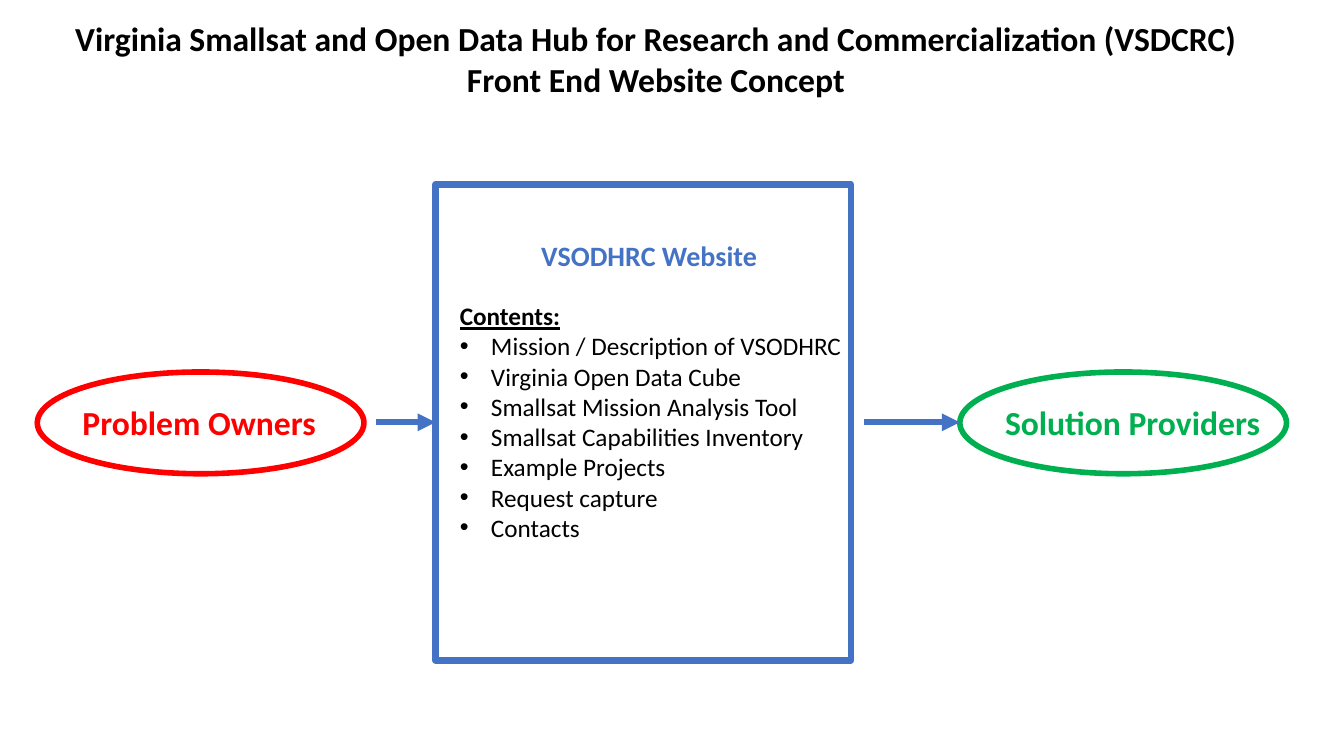
from lxml.etree import SubElement
from pptx import Presentation
from pptx.dml.color import RGBColor
from pptx.enum.shapes import MSO_CONNECTOR, MSO_SHAPE
from pptx.enum.text import MSO_ANCHOR, MSO_AUTO_SIZE, PP_ALIGN
from pptx.oxml.ns import qn
from pptx.util import Emu, Pt

EMU_PER_PX = 9144
BLACK, BLUE, RED, GREEN = "000000", "4472C4", "FF0000", "00B050"


def px(n):
    return Emu(n * EMU_PER_PX)


def rgb(color):
    return RGBColor.from_string(color)


class SlideBuilder:
    font = "Calibri"

    def __init__(self, prs):
        self.s = prs.slides.add_slide(prs.slide_layouts[1])

    def place(self, sp, box):
        sp.left, sp.top, sp.width, sp.height = map(px, box)

    def frame(self, sp):
        tf = sp.text_frame
        tf.word_wrap = False
        tf.auto_size = MSO_AUTO_SIZE.NONE
        tf.vertical_anchor = MSO_ANCHOR.TOP
        return tf

    def paragraph(self, tf, index, text, size, color, bold=False, underline=False, align=PP_ALIGN.LEFT):
        p = tf.add_paragraph() if index else tf.paragraphs[0]
        p.alignment = align
        p.space_before = Pt(0)
        r = p.add_run()
        r.text = text
        r.font.name = self.font
        r.font.size = Pt(size)
        r.font.bold = bold
        r.font.underline = underline
        r.font.color.rgb = rgb(color)
        return p

    def title(self, box, lines):
        sp = self.s.shapes.title
        self.place(sp, box)
        tf = self.frame(sp)
        for i, line in enumerate(lines):
            self.paragraph(tf, i, line, 24, BLACK, bold=True, align=PP_ALIGN.CENTER)

    def contents(self, box, heading, items):
        sp = self.s.placeholders[1]
        self.place(sp, box)
        tf = self.frame(sp)
        p = self.paragraph(tf, 0, heading, 18, BLACK, bold=True, underline=True)
        self.bullet(p, None, 0)
        for i, item in enumerate(items, 1):
            self.bullet(self.paragraph(tf, i, item, 18, BLACK), "•", 31)

    def bullet(self, p, char, indent):
        pPr = p._p.get_or_add_pPr()
        pPr.set("marL", str(px(indent)))
        pPr.set("indent", str(px(-indent)))
        if char:
            SubElement(pPr, qn("a:buFont")).set("typeface", "Arial")
            SubElement(pPr, qn("a:buChar")).set("char", char)
        else:
            SubElement(pPr, qn("a:buNone"))

    def label(self, box, text, size, color):
        sp = self.s.shapes.add_textbox(*map(px, box))
        self.paragraph(self.frame(sp), 0, text, size, color, bold=True)

    def outline(self, kind, box, color, width):
        sp = self.s.shapes.add_shape(kind, *map(px, box))
        sp.shadow.inherit = False
        sp.fill.background()
        sp.line.color.rgb = rgb(color)
        sp.line.width = Pt(width)

    def arrow(self, x1, x2, y):
        cn = self.s.shapes.add_connector(MSO_CONNECTOR.STRAIGHT, px(x1), px(y), px(x2), px(y))
        cn.line.color.rgb = rgb(BLUE)
        cn.line.width = Pt(4.25)
        SubElement(cn.line._get_or_add_ln(), qn("a:tailEnd")).set("type", "triangle")
        SubElement(cn._element.spPr, qn("a:effectLst"))


def main():
    prs = Presentation()
    prs.slide_width, prs.slide_height = px(1333), px(750)
    slide = SlideBuilder(prs)

    slide.title((59, 13, 1183, 91), [
        "Virginia Smallsat and Open Data Hub for Research and Commercialization (VSDCRC)",
        "Front End Website Concept",
    ])
    slide.outline(MSO_SHAPE.RECTANGLE, (432, 183, 412, 472), BLUE, 4.75)
    slide.label((527, 232, 243, 44), "VSODHRC Website", 20, BLUE)
    slide.contents((446, 293, 403, 252), "Contents:", [
        "Mission / Description of VSODHRC",
        "Virginia Open Data Cube",
        "Smallsat Mission Analysis Tool",
        "Smallsat Capabilities Inventory",
        "Example Projects",
        "Request capture",
        "Contacts",
    ])

    for left, text, width, color in (
        (37, "Problem Owners", 254, RED),
        (952, "Solution Providers", 276, GREEN),
    ):
        slide.label((left + 35, 394, width, 50), text, 24, color)
        slide.outline(MSO_SHAPE.OVAL, (left, 369, 324, 101), color, 4)

    for start, end in ((373, 432), (857, 952)):
        slide.arrow(start, end, 419)

    prs.save("out.pptx")


if __name__ == "__main__":
    main()
